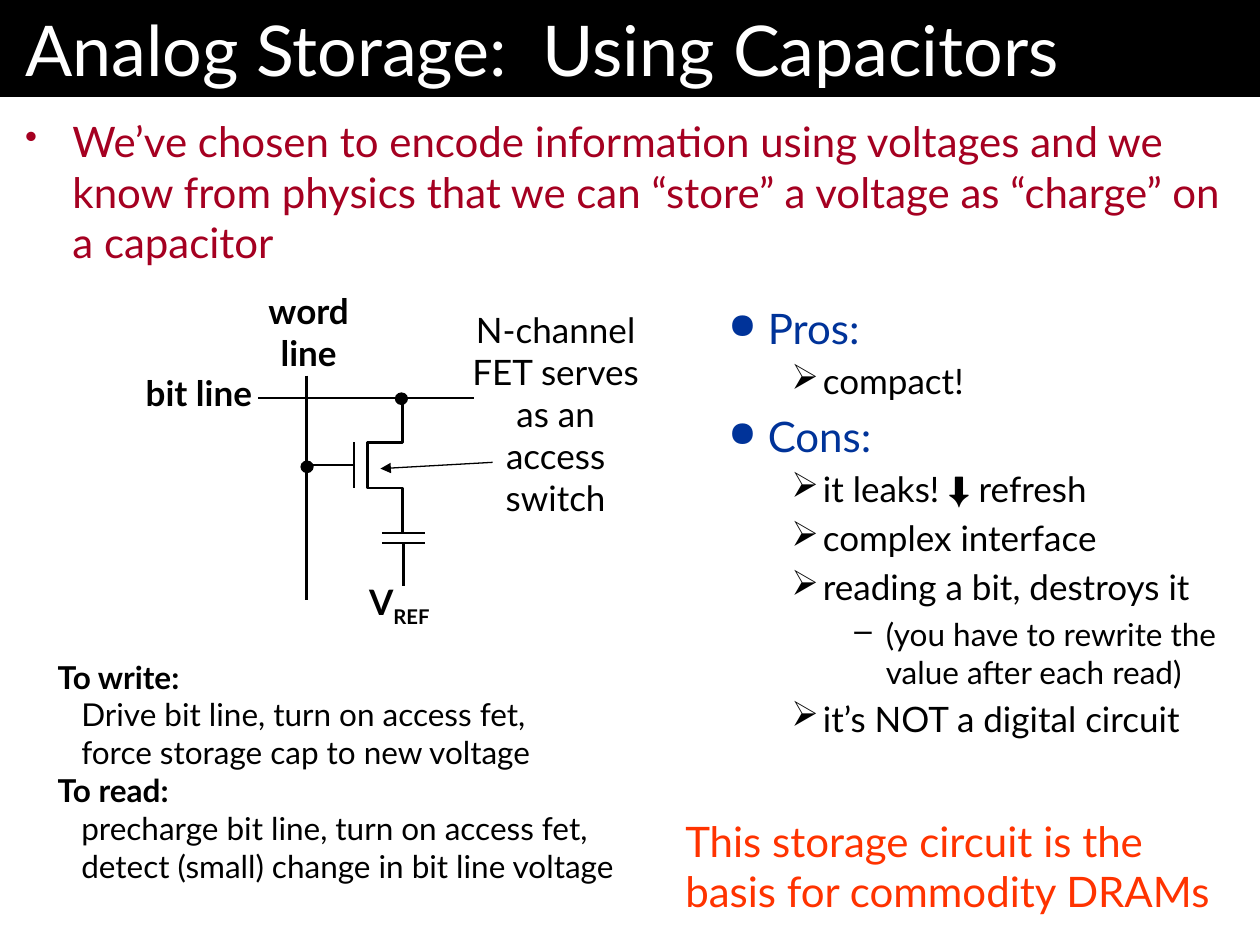
from dataclasses import dataclass

from lxml import etree
from pptx import Presentation
from pptx.dml.color import RGBColor
from pptx.enum.shapes import MSO_CONNECTOR, MSO_SHAPE
from pptx.enum.text import MSO_ANCHOR, PP_ALIGN
from pptx.oxml.ns import qn
from pptx.util import Pt

LEFT, MID, RIGHT = PP_ALIGN.LEFT, PP_ALIGN.CENTER, PP_ALIGN.RIGHT
TOP, CENTRE = MSO_ANCHOR.TOP, MSO_ANCHOR.MIDDLE
OVAL, RECT = MSO_SHAPE.OVAL, MSO_SHAPE.RECTANGLE
STRAIGHT = MSO_CONNECTOR.STRAIGHT
FONT = "Lato"
HEX = {"black": "000000", "white": "FFFFFF", "red": "A50021",
       "blue": "003399", "orange": "FF3300"}


@dataclass
class Style:
    size: float = 20
    color: str = "black"
    bold: bool = False
    align: PP_ALIGN = LEFT
    left: float = 0
    hang: float = 0
    before: float = 0
    mark: str = ""
    scale: int = 100


@dataclass
class Para:
    text: str
    style: Style
    sub: str = ""


@dataclass
class Box:
    x: float
    y: float
    w: float
    h: float
    paras: list[Para]
    pad_x: float = 7.2
    pad_y: float = 3.6
    wrap: bool = True
    anchor: MSO_ANCHOR = TOP


@dataclass
class Wire:
    x1: float
    y1: float
    x2: float
    y2: float
    width: float = 1.5
    arrow: bool = False


def rgb(name: str) -> RGBColor:
    return RGBColor.from_string(HEX[name])


def add_mark(para, style: Style) -> None:
    props = para._p.get_or_add_pPr()
    props.set("marL", str(Pt(style.left)))
    props.set("indent", str(Pt(-style.hang)))
    if style.mark:
        tint = etree.SubElement(props, qn("a:buClr"))
        etree.SubElement(tint, qn("a:srgbClr"), val=HEX[style.color])
        etree.SubElement(props, qn("a:buSzPct"), val=str(style.scale * 1000))
        etree.SubElement(props, qn("a:buChar"), char=style.mark)


def add_text(shapes, box: Box) -> None:
    frame = shapes.add_textbox(Pt(box.x), Pt(box.y), Pt(box.w), Pt(box.h)).text_frame
    frame.word_wrap = box.wrap
    frame.vertical_anchor = box.anchor
    frame.margin_left = frame.margin_right = Pt(box.pad_x)
    frame.margin_top = frame.margin_bottom = Pt(box.pad_y)
    for i, item in enumerate(box.paras):
        para = frame.add_paragraph() if i else frame.paragraphs[0]
        style = item.style
        para.alignment = style.align
        para.space_before = Pt(style.before)
        add_mark(para, style)
        font = para.font
        font.name, font.size, font.bold = FONT, Pt(style.size), style.bold
        font.color.rgb = rgb(style.color)
        para.add_run().text = item.text
        if item.sub:
            run = para.add_run()
            run.text = item.sub
            run._r.get_or_add_rPr().set("baseline", "-25000")


def add_wire(shapes, wire: Wire) -> None:
    link = shapes.add_connector(STRAIGHT, Pt(wire.x1), Pt(wire.y1), Pt(wire.x2), Pt(wire.y2))
    link.line.color.rgb = rgb("black")
    link.line.width = Pt(wire.width)
    if wire.arrow:
        etree.SubElement(link.line._get_or_add_ln(), qn("a:tailEnd"), type="triangle")
    etree.SubElement(link._element.spPr, qn("a:effectLst"))


def add_solid(shapes, kind: MSO_SHAPE, x: float, y: float, w: float, h: float) -> None:
    shape = shapes.add_shape(kind, Pt(x), Pt(y), Pt(w), Pt(h))
    shape.shadow.inherit = False
    shape.fill.solid()
    shape.fill.fore_color.rgb = rgb("black")
    shape.line.color.rgb = rgb("black")
    shape.line.width = Pt(0.75)


def add_path(shapes, dots: list[tuple[float, float]]) -> None:
    pen = shapes.build_freeform(*dots[0], scale=Pt(1))
    pen.add_line_segments(dots[1:], close=False)
    shape = pen.convert_to_shape()
    shape.shadow.inherit = False
    shape.fill.background()
    shape.line.color.rgb = rgb("black")
    shape.line.width = Pt(1.5)


deck = Presentation()
deck.slide_width, deck.slide_height = Pt(720), Pt(540)
shapes = deck.slides.add_slide(deck.slide_layouts[6]).shapes

# Text styles
title = Style(40, "white")
intro = Style(24, "red", left=27, hang=27, before=5, mark="•", scale=85)
head = Style(24, "blue", left=58.5, hang=22.5, before=5, mark="●", scale=85)
point = Style(left=90, hang=18, before=4, mark="➢")
note = Style(18, left=126, hang=18, before=4, mark="–")
label = Style(bold=True, align=RIGHT)
name = Style(bold=True, align=MID)
remark = Style(align=MID)
step = Style(18, bold=True)
detail = Style(18, left=13.5)

# Title bar
add_solid(shapes, RECT, 0, 0, 720, 55.4)

# Circuit
gate_x, drain_x, body_x = 202.3, 229.7, 209.5
word_x, cap_x = 175, 230.4
bit_y, top_y, gate_y, low_y, cap_y = 227.5, 252.7, 265.7, 278.6, 304.6
WIRES = [
    Wire(147.6, bit_y, 270.7, bit_y),
    Wire(word_x, 214.6, word_x, 342.7),
    Wire(gate_x, top_y, gate_x, low_y),
    Wire(gate_x, gate_y, word_x, gate_y),
    *[Wire(cap_x - 12.2, y, cap_x + 12.2, y) for y in (cap_y, cap_y + 5.7)],
    Wire(cap_x, cap_y + 5.7, cap_x, 334.8),
    Wire(281.5, 264.2, 217.4, 267.8, 0.75, True),
]
for wire in WIRES:
    add_wire(shapes, wire)
add_path(shapes, [(drain_x, bit_y), (drain_x, top_y), (body_x, top_y),
                  (body_x, low_y), (drain_x, low_y), (drain_x, cap_y)])
for x, y in ((172.1, 263.5), (226, 224.6)):
    add_solid(shapes, OVAL, x, y, 6.8, 6.5)

# Text
BOXES = [
    Box(0, 0, 720, 55.4, [Para("Analog Storage:  Using Capacitors", title)],
        14.4, anchor=CENTRE),
    Box(0, 55.4, 720, 106.6, [Para(
        "We’ve chosen to encode information using voltages and we know from "
        "physics that we can “store” a voltage as “charge” on a capacitor", intro)],
        14.4, 10.8),
    Box(365.8, 162, 354.2, 304.6, [
        Para("Pros:", head),
        Para("compact!", point),
        Para("Cons:", head),
        Para("it leaks! ⬇ refresh", point),
        Para("complex interface", point),
        Para("reading a bit, destroys it", point),
        Para("(you have to rewrite the value after each read)", note),
        Para("it’s NOT a digital circuit", point)], 14.4, 10.8),
    Box(66.2, 208.8, 85, 31.7, [Para("bit line", label)], wrap=False),
    Box(143.3, 162, 66.2, 55.4, [Para(t, name) for t in ("word", "line")], wrap=False),
    Box(262.1, 172.8, 110.9, 128.2, [Para(t, remark) for t in (
        "N-channel", "FET serves", "as an", "access", "switch")], wrap=False),
    Box(197.3, 328.3, 55.4, 31.7, [Para("V", label, "REF")], wrap=False),
    Box(25.9, 372.2, 349.2, 138.2, [
        Para("To write:", step),
        Para("Drive bit line, turn on access fet,", detail),
        Para("force storage cap to new voltage", detail),
        Para("To read:", step),
        Para("precharge bit line, turn on access fet,", detail),
        Para("detect (small) change in bit line voltage", detail)], wrap=False),
    Box(384.5, 462.2, 329.8, 65.5, [Para(
        "This storage circuit is the basis for commodity DRAMs", Style(24, "orange"))]),
]
for box in BOXES:
    add_text(shapes, box)

deck.save("out.pptx")
